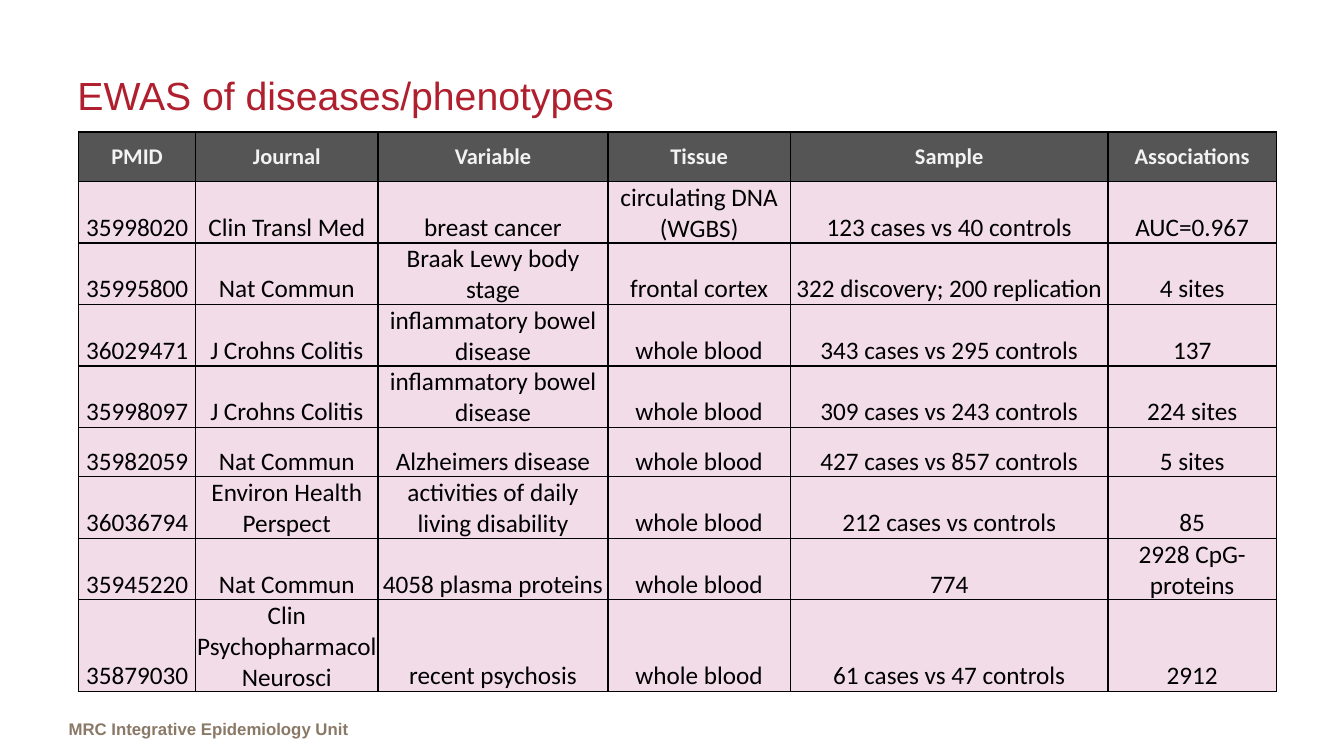
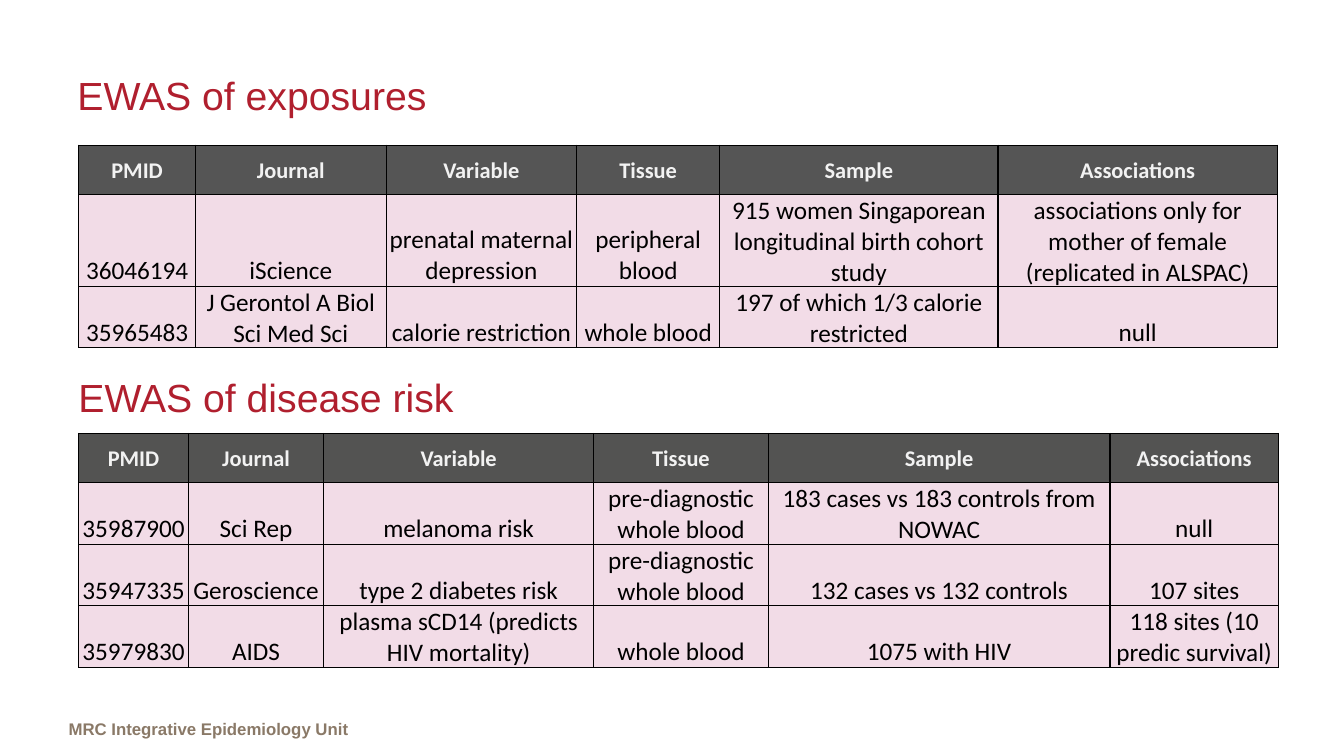
from lxml.etree import SubElement
from pptx import Presentation
from pptx.dml.color import RGBColor
from pptx.enum.text import MSO_ANCHOR, PP_ALIGN
from pptx.oxml import parse_xml
from pptx.oxml.ns import nsdecls, qn
from pptx.util import Inches, Pt

COLORS = {
    "title": "B01F2E",
    "footer": "8A7967",
    "header_fill": "0D0D0D",
    "header_solid": "535352",
    "header_text": "F2F2F2",
    "body_fill": "EDCEDE",
    "body_text": "000000",
    "border": "000000",
}
HEADINGS = ["PMID", "Journal", "Variable", "Tissue", "Sample", "Associations"]
CONTENT_WIDTH = 11.89
ROW_HEIGHT = 0.49
TABLE_LEFT = 0.78

DISEASES = [
    ["35998020", "Clin Transl Med", "breast cancer", "circulating DNA (WGBS)",
     "123 cases vs 40 controls", "AUC=0.967"],
    ["35995800", "Nat Commun", "Braak Lewy body stage", "frontal cortex",
     "322 discovery; 200 replication", "4 sites"],
    ["36029471", "J Crohns Colitis", "inflammatory bowel disease", "whole blood",
     "343 cases vs 295 controls", "137"],
    ["35998097", "J Crohns Colitis", "inflammatory bowel disease", "whole blood",
     "309 cases vs 243 controls", "224 sites"],
    ["35982059", "Nat Commun", "Alzheimers disease", "whole blood",
     "427 cases vs 857 controls", "5 sites"],
    ["36036794", "Environ Health Perspect", "activities of daily living disability",
     "whole blood", "212 cases vs controls", "85"],
    ["35945220", "Nat Commun", "4058 plasma proteins", "whole blood",
     "774", "2928 CpG-proteins"],
    ["35879030", "Clin Psychopharmacol Neurosci", "recent psychosis", "whole blood",
     "61 cases vs 47 controls", "2912"],
]
EXPOSURES = [
    ["36046194", "iScience", "prenatal maternal depression", "peripheral blood",
     "915 women Singaporean longitudinal birth cohort study",
     "associations only for mother of female (replicated in ALSPAC)"],
    ["35965483", "J Gerontol A Biol Sci Med Sci", "calorie restriction", "whole blood",
     "197 of which 1/3 calorie restricted", "null"],
]
DISEASE_RISK = [
    ["35987900", "Sci Rep", "melanoma risk", "pre-diagnostic whole blood",
     "183 cases vs 183 controls from NOWAC", "null"],
    ["35947335", "Geroscience", "type 2 diabetes risk", "pre-diagnostic whole blood",
     "132 cases vs 132 controls", "107 sites"],
    ["35979830", "AIDS", "plasma sCD14 (predicts HIV mortality)", "whole blood",
     "1075 with HIV", "118 sites (10 predic survival)"],
]


class Deck:
    def __init__(self):
        self.presentation = Presentation()
        self.presentation.slide_width = Inches(13.33)
        self.presentation.slide_height = Inches(7.5)
        self.slide = None

    def add_slide(self):
        self.slide = self.presentation.slides.add_slide(self.presentation.slide_layouts[6])
        frame = self.add_box(0.68, 7.08, 3.22, 0.3)
        frame.margin_left = frame.margin_right = 0
        self.add_run(frame.paragraphs[0], "MRC Integrative Epidemiology Unit",
                     12, "footer", bold=True)

    def add_box(self, left, top, width, height):
        shape = self.slide.shapes.add_textbox(
            Inches(left), Inches(top), Inches(width), Inches(height))
        shape.text_frame.word_wrap = True
        return shape.text_frame

    def add_run(self, paragraph, text, size, color, bold=False, font="Arial"):
        run = paragraph.add_run()
        run.text = text
        run.font.name = font
        run.font.size = Pt(size)
        run.font.bold = bold
        run.font.color.rgb = RGBColor.from_string(COLORS[color])

    def add_title(self, text, left=0.67, top=0.5):
        frame = self.add_box(left, top, CONTENT_WIDTH, 0.89)
        frame.vertical_anchor = MSO_ANCHOR.MIDDLE
        self.add_run(frame.paragraphs[0], text, 28, "title")

    def add_table(self, top, height, widths, records, header_fill="header_fill", header_alpha=70):
        rows = [HEADINGS] + records
        shape = self.slide.shapes.add_table(
            len(rows), len(widths), Inches(TABLE_LEFT), Inches(top),
            Inches(CONTENT_WIDTH), Inches(height))
        table = shape.table
        table.first_row = table.horz_banding = False
        for column, width in zip(table.columns, widths):
            column.width = Inches(width)
        for row_index, texts in enumerate(rows):
            table.rows[row_index].height = Inches(ROW_HEIGHT)
            for column_index, text in enumerate(texts):
                cell = table.cell(row_index, column_index)
                paragraph = cell.text_frame.paragraphs[0]
                paragraph.alignment = PP_ALIGN.CENTER
                if row_index == 0:
                    cell.vertical_anchor = MSO_ANCHOR.MIDDLE
                    self.add_run(paragraph, text, 16, "header_text", True, "Calibri")
                    self.style_cell(cell, header_fill, header_alpha)
                else:
                    cell.vertical_anchor = MSO_ANCHOR.BOTTOM
                    self.add_run(paragraph, text, 18, "body_text", False, "Calibri")
                    self.style_cell(cell, "body_fill", 70)
        shape.height = Inches(height)

    def style_cell(self, cell, color, alpha):
        cell.margin_left = cell.margin_right = cell.margin_top = Inches(0.01)
        cell.margin_bottom = 0
        cell.fill.solid()
        cell.fill.fore_color.rgb = RGBColor.from_string(COLORS[color])
        properties = cell._tc.get_or_add_tcPr()
        if alpha < 100:
            fill_color = properties.find(qn("a:solidFill")).find(qn("a:srgbClr"))
            SubElement(fill_color, qn("a:alpha")).set("val", str(alpha * 1000))
        for index, side in enumerate(["lnL", "lnR", "lnT", "lnB"]):
            properties.insert(index, parse_xml(
                f'<a:{side} {nsdecls("a")} w="{Pt(1)}"><a:solidFill>'
                f'<a:srgbClr val="{COLORS["border"]}"/></a:solidFill></a:{side}>'))


def main():
    deck = Deck()

    deck.add_slide()
    deck.add_title("EWAS of diseases/phenotypes")
    deck.add_table(1.31, 5.53, [1.16, 1.81, 2.28, 1.81, 3.15, 1.67], DISEASES)

    deck.add_slide()
    deck.add_title("EWAS of exposures")
    deck.add_table(1.44, 2, [1.16, 1.89, 1.89, 1.42, 2.76, 2.77], EXPOSURES)
    deck.add_table(4.3, 2.31, [1.09, 1.34, 2.68, 1.73, 3.39, 1.67], DISEASE_RISK,
                   "header_solid", 100)
    deck.add_title("EWAS of disease risk", 0.68, 3.49)

    deck.presentation.save("out.pptx")


if __name__ == "__main__":
    main()
